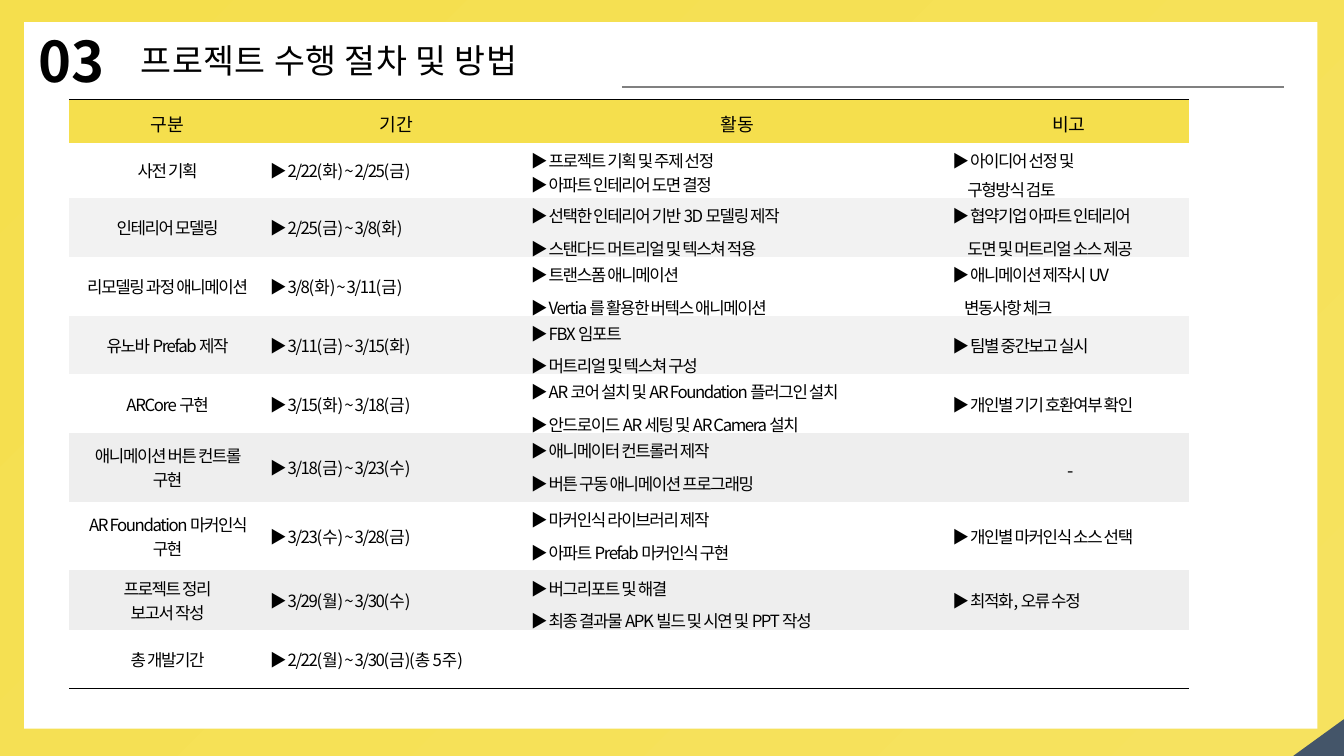
from dataclasses import dataclass

from lxml import etree
from pptx import Presentation
from pptx import util as u
from pptx.dml.color import RGBColor
from pptx.enum import shapes, text
from pptx.oxml import ns

FONT = "Noto Sans CJK KR"
COLORS = {
    "yellow": "F5DF4D",
    "light_yellow": "F6E25F",
    "white": "FFFFFF",
    "black": "000000",
    "pale": "F2F2F2",
    "gray": "EEEEEE",
    "rule": "808080",
    "navy": "445569",
}
NO_GRID_STYLE = "{2D5ABB26-0587-4C30-8999-92F81FD0307C}"
COLUMN_WIDTHS = (4.95, 6.58, 10.62, 6.07)
CELL_MARGIN = 0.13
TIGHT_MARGIN = -0.09
CENTER = text.PP_ALIGN.CENTER
LEFT = text.PP_ALIGN.LEFT


@dataclass(frozen=True)
class Block:
    lines: tuple[str, ...]
    before: float = 6
    size: float = 12
    tracking: int = -100
    align: text.PP_ALIGN = LEFT
    leading: float = 1.0
    indent: float = 0
    side_margins: tuple[float, float] = (0.1, 0)


@dataclass(frozen=True)
class Row:
    height: float
    fill: str
    blocks: tuple[Block, ...]


@dataclass(frozen=True)
class Label:
    content: str
    box: tuple[float, float, float, float]
    size: float
    bold: bool
    wrap: bool
    tracking: int


def header(title: str) -> Block:
    return Block((title,), 0, 13, 0, CENTER, 1.2, 0, (0.23, 0.23))


def stage(*lines: str, before: float = 6) -> Block:
    return Block(lines, before, align=CENTER, side_margins=(0.3, 0.3))


def items(*lines: str, before: float = 6) -> Block:
    return Block(tuple(f"▶ {line}" for line in lines), before)


def wrapped(first: str, second: str, indent: float, before: float = 6) -> Block:
    return Block((f"▶ {first}", second), before, indent=indent)


ROWS = (
    Row(1.1, "yellow", tuple(map(header, ("구분", "기간", "활동", "비고")))),
    Row(1.39, "white", (
        stage("사전 기획"), items("2/22(화) ~ 2/25(금)"),
        items("프로젝트 기획 및 주제 선정", "아파트 인테리어 도면 결정", before=0),
        wrapped("아이디어 선정 및", "구형방식 검토", 0.38, 3.2))),
    Row(1.48, "pale", (
        stage("인테리어 모델링"), items("2/25(금) ~ 3/8(화)"),
        items("선택한 인테리어 기반 3D 모델링 제작", "스탠다드 머트리얼 및 텍스쳐 적용"),
        wrapped("협약기업 아파트 인테리어", "도면 및 머트리얼 소스 제공", 0.38))),
    Row(1.48, "white", (
        stage("리모델링 과정 애니메이션"), items("3/8(화) ~ 3/11(금)"),
        items("트랜스폼 애니메이션", "Vertia 를 활용한 버텍스 애니메이션"),
        wrapped("애니메이션 제작시 UV", "변동사항 체크", 0.3))),
    Row(1.48, "pale", (
        stage("유노바 Prefab 제작"), items("3/11(금) ~ 3/15(화)"),
        items("FBX 임포트", "머트리얼 및 텍스쳐 구성"),
        items("팀별 중간보고 실시"))),
    Row(1.48, "white", (
        stage("ARCore 구현"), items("3/15(화) ~ 3/18(금)"),
        items("AR 코어 설치 및 AR Foundation 플러그인 설치",
              "안드로이드 AR 세팅 및 AR Camera 설치"),
        items("개인별 기기 호환여부 확인"))),
    Row(1.73, "gray", (
        stage("애니메이션 버튼 컨트롤 구현"), items("3/18(금) ~ 3/23(수)"),
        items("애니메이터 컨트롤러 제작", "버튼 구동 애니메이션 프로그래밍"),
        Block(("-",), size=13, align=CENTER, leading=1.2))),
    Row(1.73, "white", (
        stage("AR Foundation 마커인식 구현"), items("3/23(수) ~ 3/28(금)"),
        items("마커인식 라이브러리 제작", "아파트 Prefab 마커인식 구현"),
        items("개인별 마커인식 소스 선택"))),
    Row(1.49, "gray", (
        stage("프로젝트 정리", "보고서 작성", before=0), items("3/29(월) ~ 3/30(수)"),
        items("버그리포트 및 해결", "최종 결과물 APK 빌드 밎 시연 및 PPT 작성"),
        items("최적화, 오류 수정"))),
    Row(1.49, "white", (
        stage("총 개발기간"), items("2/22(월) ~ 3/30(금)(총 5주)"),
        Block(()), Block(()))),
)

LABELS = (
    Label("03", (0.71, 0.54, 3.23, 1.93), 40, True, True, 0),
    Label("프로젝트 수행 절차 및 방법", (3.3, 0.88, 11.51, 1.27), 24, False, False, 35),
)


def rgb(name: str) -> RGBColor:
    return RGBColor.from_string(COLORS[name])


def add_run(p, content: str, size: float, bold: bool = False, tracking: int = 0) -> None:
    r = p.add_run()
    r.text = content
    r.font.size = u.Pt(size)
    r.font.bold = bold
    r.font.name = FONT
    r.font.color.rgb = rgb("black")
    props = r.font._element
    etree.SubElement(props, ns.qn("a:ea"), typeface=FONT)
    if tracking:
        props.set("spc", str(tracking))


def add_shape(s, kind, box: tuple[float, ...], color: str):
    sp = s.shapes.add_shape(kind, *map(u.Cm, box))
    sp.shadow.inherit = False
    sp.fill.solid()
    sp.fill.fore_color.rgb = rgb(color)
    sp.line.fill.background()
    return sp


def add_border(cell, side: str) -> None:
    ln = etree.Element(ns.qn(f"a:{side}"), w=str(u.Pt(0.75)))
    fill = etree.SubElement(ln, ns.qn("a:solidFill"))
    etree.SubElement(fill, ns.qn("a:srgbClr"), val=COLORS["black"])
    cell._tc.get_or_add_tcPr().insert(0, ln)


def fill_cell(cell, block: Block, color: str) -> None:
    cell.fill.solid()
    cell.fill.fore_color.rgb = rgb(color)
    is_list = len(block.lines) > 1 and block.align == LEFT
    cell.vertical_anchor = text.MSO_ANCHOR.TOP if is_list else text.MSO_ANCHOR.MIDDLE
    cell.margin_left, cell.margin_right = map(u.Cm, block.side_margins)
    cell.margin_top = u.Cm(CELL_MARGIN)
    cell.margin_bottom = u.Cm(TIGHT_MARGIN if is_list else CELL_MARGIN)
    tf = cell.text_frame
    for i, line in enumerate(block.lines):
        p = tf.add_paragraph() if i else tf.paragraphs[0]
        p.alignment = block.align
        p.space_before = u.Pt(block.before)
        p.line_spacing = block.leading
        if i and block.indent:
            p._p.get_or_add_pPr().set("marL", str(u.Cm(block.indent)))
        add_run(p, line, block.size, tracking=block.tracking)


def add_schedule(s) -> None:
    frame = s.shapes.add_table(
        len(ROWS), len(COLUMN_WIDTHS), u.Cm(1.75), u.Cm(2.5),
        u.Cm(sum(COLUMN_WIDTHS)), u.Cm(sum(row.height for row in ROWS)))
    table = frame.table
    table.first_row = table.horz_banding = False
    table._tbl.tblPr.find(ns.qn("a:tableStyleId")).text = NO_GRID_STYLE
    for column, width in zip(table.columns, COLUMN_WIDTHS):
        column.width = u.Cm(width)
    for i, row in enumerate(ROWS):
        table.rows[i].height = u.Cm(row.height)
        for cell, block in zip(table.rows[i].cells, row.blocks):
            fill_cell(cell, block, row.fill)
    for side, edge in (("lnT", 0), ("lnB", len(ROWS) - 1)):
        for cell in table.rows[edge].cells:
            add_border(cell, side)


def add_label(s, label: Label) -> None:
    tf = s.shapes.add_textbox(*map(u.Cm, label.box)).text_frame
    tf.word_wrap = label.wrap
    tf.auto_size = text.MSO_AUTO_SIZE.SHAPE_TO_FIT_TEXT
    add_run(tf.paragraphs[0], label.content, label.size, label.bold, label.tracking)


def add_title_rule(s) -> None:
    line = s.shapes.add_connector(
        shapes.MSO_CONNECTOR.STRAIGHT, u.Cm(15.67), u.Cm(2.19), u.Cm(32.36), u.Cm(2.19))
    line.line.color.rgb = rgb("rule")
    line.line.width = u.Pt(1)
    etree.SubElement(line._element.spPr, ns.qn("a:effectLst"))


def main() -> None:
    prs = Presentation()
    prs.slide_width, prs.slide_height = u.Cm(33.87), u.Cm(19.05)
    s = prs.slides.add_slide(prs.slide_layouts[6])
    background = s.background.fill
    background.gradient()
    background.gradient_angle = 315
    for stop, color in zip(background.gradient_stops, ("yellow", "light_yellow")):
        stop.color.rgb = rgb(color)
    corner = add_shape(s, shapes.MSO_SHAPE.RIGHT_TRIANGLE, (32.77, 17.95, 0.92, 1.27), "navy")
    corner.rotation = 270
    add_shape(s, shapes.MSO_SHAPE.RECTANGLE, (0.61, 0.56, 32.59, 17.8), "white")
    add_schedule(s)
    for label in LABELS:
        add_label(s, label)
    add_title_rule(s)
    prs.save("out.pptx")


if __name__ == "__main__":
    main()
